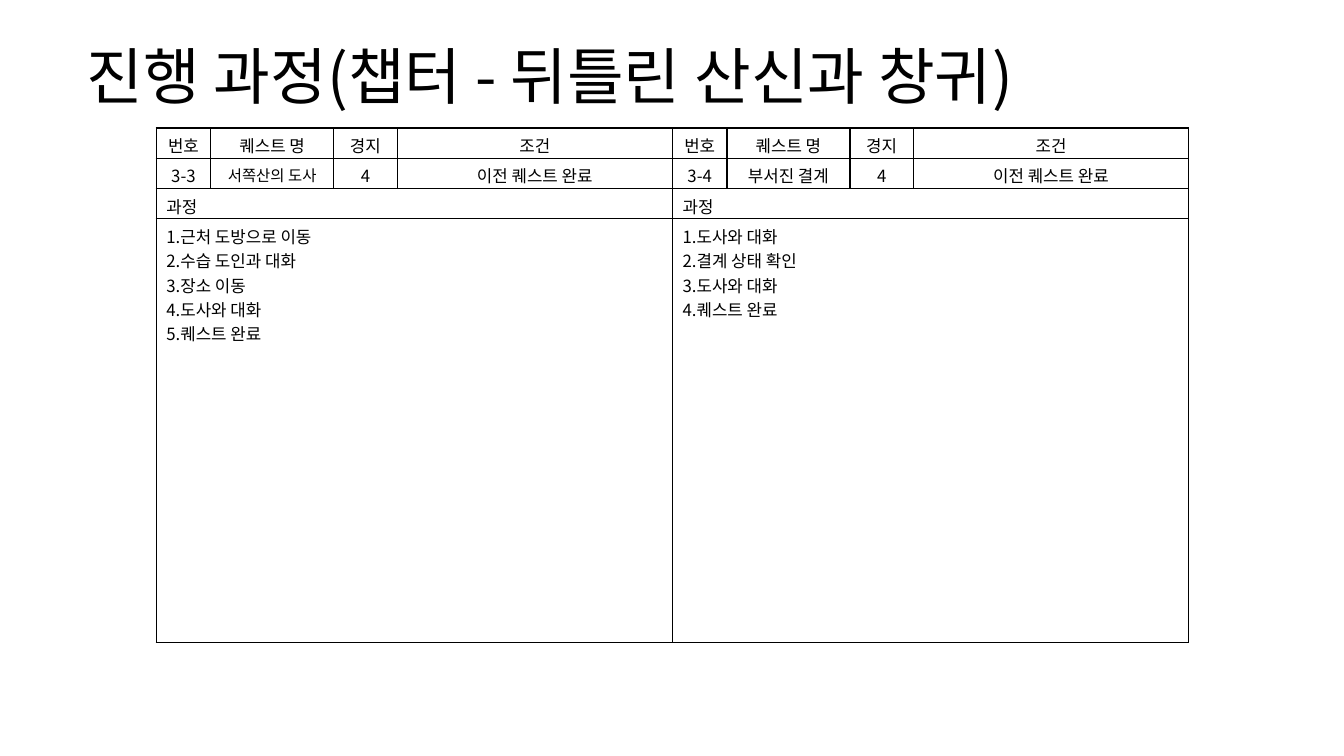
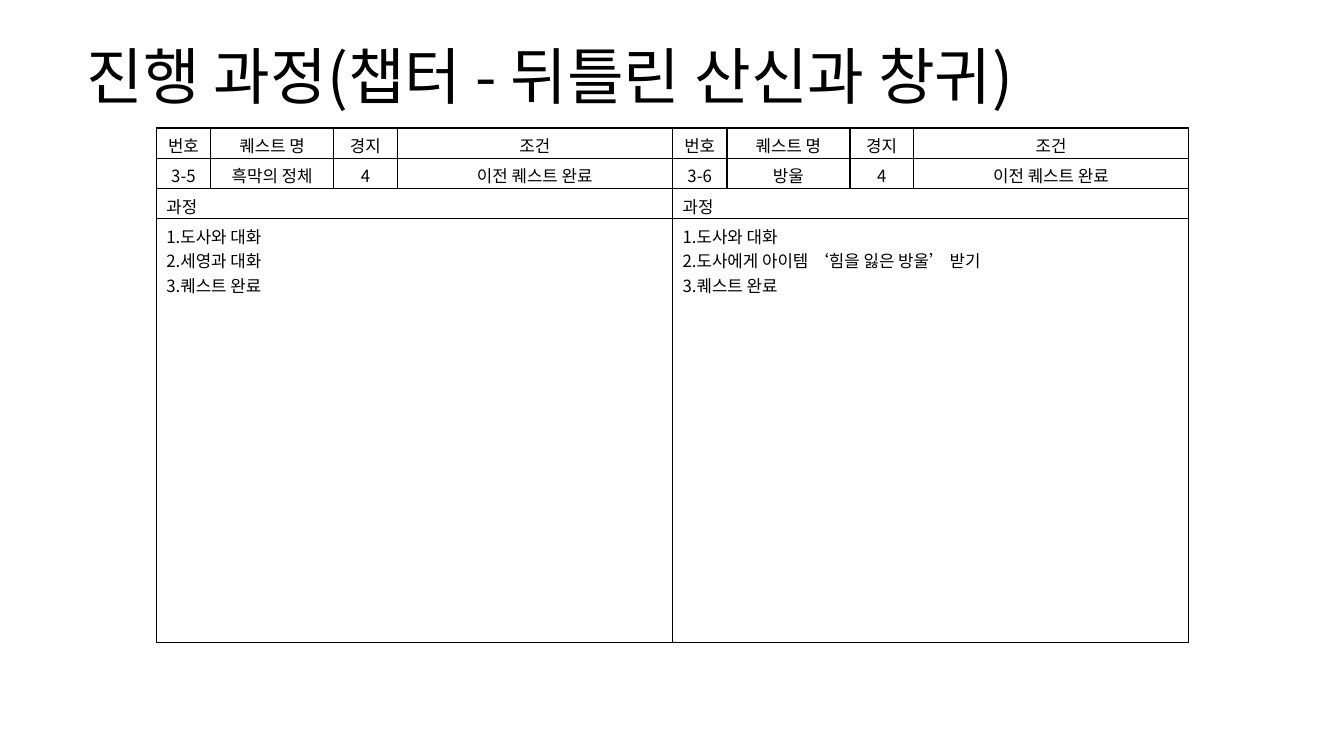
from pptx import Presentation
from pptx.dml.color import RGBColor
from pptx.enum.text import MSO_ANCHOR as Anchor, PP_ALIGN as Align
from pptx.oxml.ns import qn
from pptx.util import Inches, Pt
from lxml.etree import SubElement, Element

# Shared style
FONT = "Noto Sans CJK KR"
BLACK = RGBColor(0x00, 0x00, 0x00)
BORDER_WIDTH = Pt(1)
TITLE = "진행 과정(챕터 - 뒤틀린 산신과 창귀)"
TITLE_SIZE, BODY_SIZE, SMALL_SIZE = 44, 12, 11

# Shared table grid, in inches
TABLE_LEFT, TABLE_TOP = 1.55, 1.27
COLUMN_WIDTHS = (0.54, 1.22, 0.63, 2.73)
ROW_HEIGHTS = (0.3, 0.3, 0.3, 4.2)
TABLE_WIDTH, TABLE_HEIGHT = sum(COLUMN_WIDTHS), sum(ROW_HEIGHTS)

# Content: each slide holds quests as (number, name, name size, steps)
HEADINGS = ("번호", "퀘스트 명", "경지", "조건")
LEVEL, CONDITION = "4", "이전 퀘스트 완료"
STEPS_HEADING = "과정"
SLIDES = (
    (
        ("3-3", "서쪽산의 도사", SMALL_SIZE,
         ("근처 도방으로 이동", "수습 도인과 대화", "장소 이동", "도사와 대화", "퀘스트 완료")),
        ("3-4", "부서진 결계", BODY_SIZE,
         ("도사와 대화", "결계 상태 확인", "도사와 대화", "퀘스트 완료")),
    ),
    (
        ("3-5", "흑막의 정체", BODY_SIZE,
         ("도사와 대화", "세영과 대화", "퀘스트 완료")),
        ("3-6", "방울", BODY_SIZE,
         ("도사와 대화", "도사에게 아이템 ‘힘을 잃은 방울’ 받기", "퀘스트 완료")),
    ),
)


def write_lines(text_frame, lines, size, **paragraph_format):
    """Fill a text frame with one paragraph per line."""
    for index, line in enumerate(lines):
        paragraph = text_frame.paragraphs[0] if index == 0 else text_frame.add_paragraph()
        for name, value in paragraph_format.items():
            setattr(paragraph, name, value)
        run = paragraph.add_run()
        run.text = line
        for name, value in {"name": FONT, "size": Pt(size)}.items():
            setattr(run.font, name, value)
        run.font.color.rgb = BLACK
        # The East Asian font has no public setter
        SubElement(run.font._element, qn("a:ea"), typeface=FONT)


def add_title(slide):
    box = slide.shapes.add_textbox(Inches(0.76), Inches(0.32), Inches(11.81), Inches(0.94))
    text_frame = box.text_frame
    text_frame.word_wrap = True
    text_frame.vertical_anchor = Anchor.MIDDLE
    write_lines(text_frame, [TITLE], TITLE_SIZE, line_spacing=0.9)


def style_cell(cell):
    """Remove the fill and draw all four borders."""
    cell.fill.background()
    properties = cell._tc.get_or_add_tcPr()
    for index, side in enumerate(("lnL", "lnR", "lnT", "lnB")):
        border = Element(qn(f"a:{side}"), w=str(BORDER_WIDTH))
        fill = SubElement(border, qn("a:solidFill"))
        SubElement(fill, qn("a:srgbClr"), val=str(BLACK))
        properties.insert(index, border)


def add_quest_table(slide, position, quest):
    number, name, name_size, steps = quest
    table = slide.shapes.add_table(
        len(ROW_HEIGHTS), len(COLUMN_WIDTHS),
        Inches(TABLE_LEFT + position * TABLE_WIDTH), Inches(TABLE_TOP),
        Inches(TABLE_WIDTH), Inches(TABLE_HEIGHT)).table
    table.first_row = table.horz_banding = False
    for column, width in zip(table.columns, COLUMN_WIDTHS):
        column.width = Inches(width)
    for row, height in zip(table.rows, ROW_HEIGHTS):
        row.height = Inches(height)
    for cell in table.iter_cells():
        style_cell(cell)

    # Headings and quest facts
    for row, values in enumerate((HEADINGS, (number, name, LEVEL, CONDITION))):
        for column, value in enumerate(values):
            size = name_size if (row, column) == (1, 1) else BODY_SIZE
            write_lines(table.cell(row, column).text_frame, [value], size,
                        alignment=Align.CENTER)

    # Full-width rows with the numbered steps
    numbered = [f"{index}.{step}" for index, step in enumerate(steps, 1)]
    for row, lines in ((2, [STEPS_HEADING]), (3, numbered)):
        cell = table.cell(row, 0)
        cell.merge(table.cell(row, len(COLUMN_WIDTHS) - 1))
        write_lines(cell.text_frame, lines, BODY_SIZE)


def main():
    presentation = Presentation()
    presentation.slide_width, presentation.slide_height = Inches(13.33), Inches(7.5)
    for quests in SLIDES:
        slide = presentation.slides.add_slide(presentation.slide_layouts[6])
        add_title(slide)
        for position, quest in enumerate(quests):
            add_quest_table(slide, position, quest)
    presentation.save("out.pptx")


if __name__ == "__main__":
    main()
